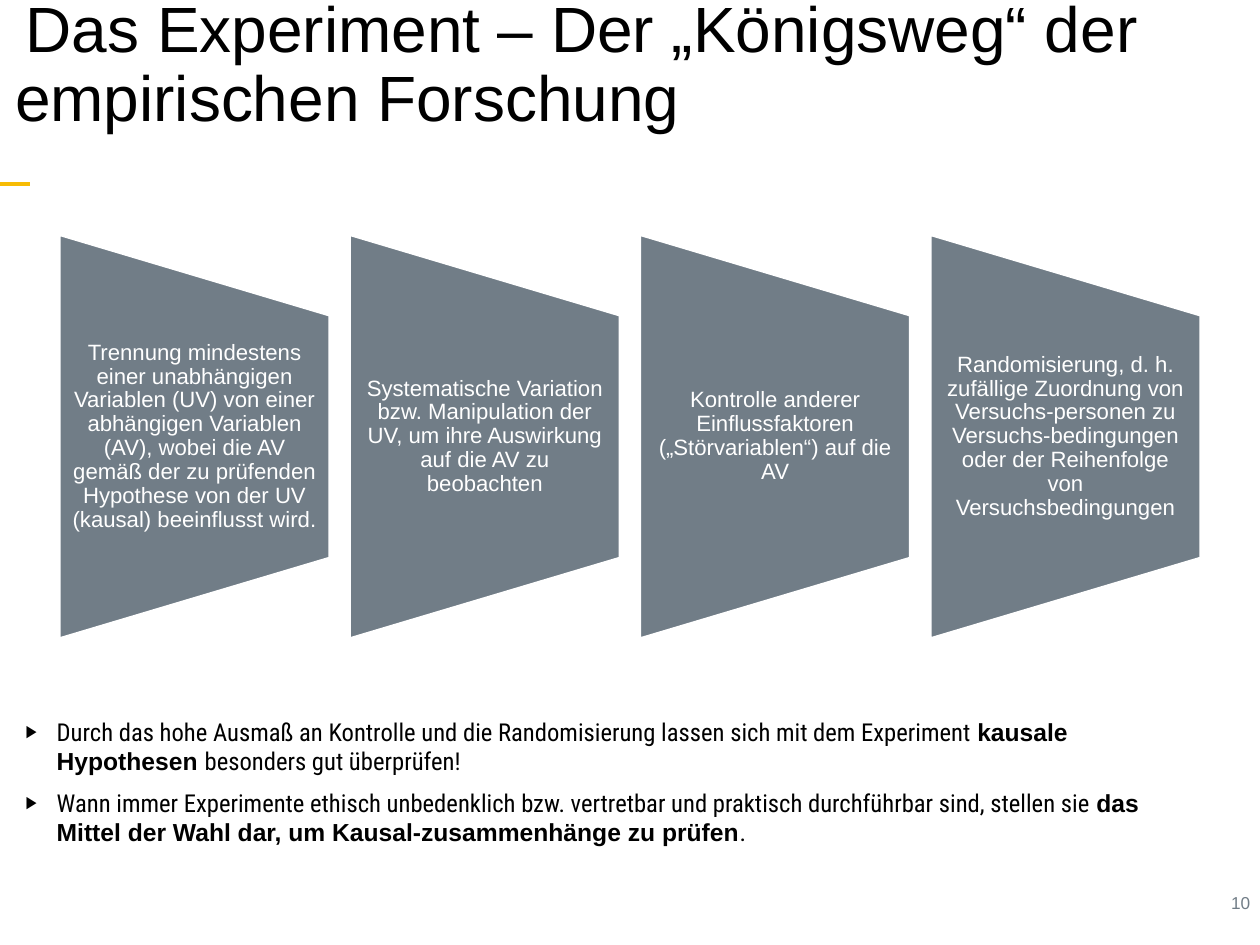
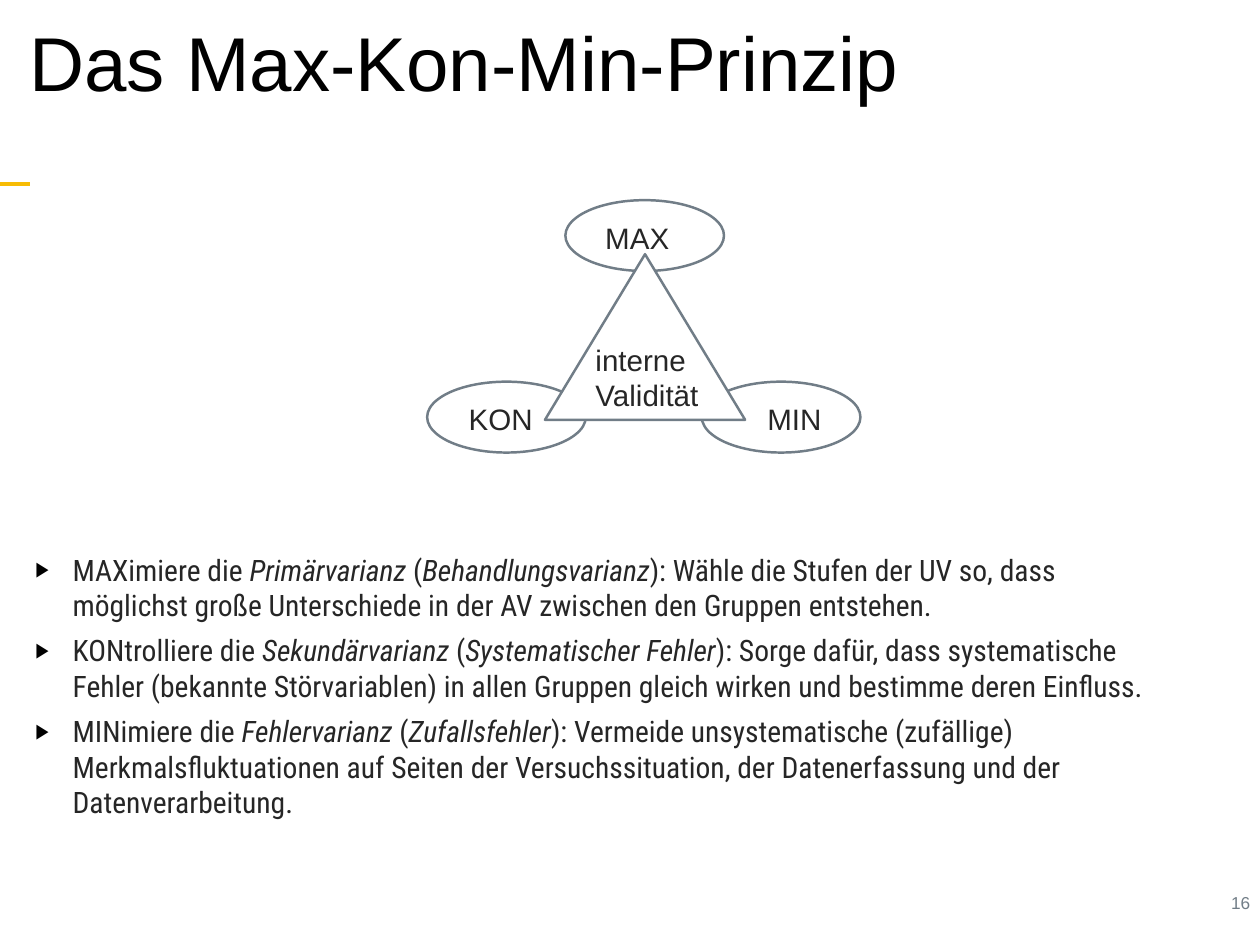
"""Build two slides on experiments and the Max-Kon-Min principle."""
from dataclasses import dataclass

from lxml import etree
from pptx import Presentation
from pptx.dml.color import RGBColor
from pptx.enum.shapes import MSO_CONNECTOR, MSO_SHAPE
from pptx.enum.text import MSO_ANCHOR, PP_ALIGN
from pptx.oxml.ns import qn
from pptx.util import Inches, Pt

LINE = MSO_CONNECTOR.STRAIGHT
OVAL, PEAK = MSO_SHAPE.OVAL, MSO_SHAPE.ISOSCELES_TRIANGLE
TOP, MID = MSO_ANCHOR.TOP, MSO_ANCHOR.MIDDLE
LEFT, CENTER, RIGHT = PP_ALIGN.LEFT, PP_ALIGN.CENTER, PP_ALIGN.RIGHT


@dataclass(frozen=True)
class Theme:
    sans: str = "Arial"
    slim: str = "Roboto Condensed"
    black: RGBColor = RGBColor.from_string("000000")
    ink: RGBColor = RGBColor.from_string("262626")
    slate: RGBColor = RGBColor.from_string("717D87")
    gold: RGBColor = RGBColor.from_string("F7BC05")
    white: RGBColor = RGBColor.from_string("FFFFFF")
    small: int = 14
    card: int = 18
    label: int = 24


theme = Theme()
deck = Presentation()
deck.slide_width, deck.slide_height = Inches(14.22), Inches(10.67)
COL, ROW = deck.slide_width / 100, deck.slide_height / 100


def frame(page, spot, pad=0.07, anchor=TOP):
    """Add a text box at a spot in columns and rows."""
    left, top, wide, high = spot
    box = page.shapes.add_textbox(
        int(left * COL), int(top * ROW), int(wide * COL), int(high * ROW))
    text = box.text_frame
    text.word_wrap, text.vertical_anchor = True, anchor
    text.margin_left = text.margin_right = Inches(pad)
    text.margin_top = text.margin_bottom = Inches(pad)
    return text


def style(par, size, color, align=LEFT, face=theme.sans):
    """Set the font and alignment of a paragraph."""
    par.alignment = align
    par.font.name, par.font.size = face, Pt(size)
    par.font.color.rgb = color


heads = [
    ("Das Experiment – Der „Königsweg“ der empirischen Forschung", 52, 0.12, "10"),
    ("Das Max-Kon-Min-Prinzip", 62, 0.14, "16"),
]
pages = []
for title, size, inset, number in heads:
    page = deck.slides.add_slide(deck.slide_layouts[6])
    pages.append(page)
    rule = page.shapes.add_connector(
        LINE, 0, int(19.5 * ROW), int(2.4 * COL), int(19.5 * ROW))
    rule.line.color.rgb, rule.line.width = theme.gold, Pt(3)
    etree.SubElement(rule._element.spPr, qn("a:effectLst"))

    par = frame(page, (83.05, 93.72, 16.67, 3.4)).paragraphs[0]
    par.text = number
    style(par, theme.small, theme.slate, RIGHT)

    par = frame(page, (0, -0.2, 100, 14.5), 0.05, MID).paragraphs[0]
    par.text, par.line_spacing = title, 0.9
    props = par._p.get_or_add_pPr()
    props.set("marL", str(Inches(inset)))
    props.set("indent", str(Inches(inset)))
    style(par, size, theme.black)

trial, model = pages

cards = [
    "Trennung mindestens einer unabhängigen Variablen (UV) von einer "
    "abhängigen Variablen (AV), wobei die AV gemäß der zu prüfenden "
    "Hypothese von der UV (kausal) beeinflusst wird.",
    "Systematische Variation bzw. Manipulation der UV, um ihre Auswirkung "
    "auf die AV zu beobachten",
    "Kontrolle anderer Einflussfaktoren („Störvariablen“) auf die AV",
    "Randomisierung, d. h. zufällige Zuordnung von Versuchs-personen zu "
    "Versuchs-bedingungen oder der Reihenfolge von Versuchsbedingungen",
]
high, low, slope = 24.84, 67.57, 8.53
for i, words in enumerate(cards):
    left = 4.71 + 23.04 * i
    right = left + 21.45
    pen = trial.shapes.build_freeform(int(left * COL), int(low * ROW))
    pen.add_line_segments([
        (int(x * COL), int(y * ROW)) for x, y in
        [(left, high), (right, high + slope), (right, low - slope)]])
    card = pen.convert_to_shape()
    card.shadow.inherit = False
    card.fill.solid()
    card.fill.fore_color.rgb = theme.slate
    card.line.color.rgb, card.line.width = theme.white, Pt(2)
    text = card.text_frame
    text.word_wrap, text.vertical_anchor = True, MID
    text.margin_left = text.margin_right = Inches(0.14)
    text.margin_top = text.margin_bottom = 0
    par = text.paragraphs[0]
    par.text, par.line_spacing = words, 0.9
    style(par, theme.card, theme.white, CENTER)

parts = [
    (OVAL, 44.87, 21.18, 12.59, 7.5),
    (OVAL, 55.7, 40.39, 12.59, 7.5),
    (OVAL, 33.9, 40.39, 12.59, 7.5),
    (PEAK, 43.25, 26.9, 15.89, 17.53),
]
for kind, left, top, wide, tall in parts:
    part = model.shapes.add_shape(
        kind, int(left * COL), int(top * ROW), int(wide * COL), int(tall * ROW))
    part.shadow.inherit = False
    part.fill.solid()
    part.fill.fore_color.rgb = theme.white
    part.line.color.rgb, part.line.width = theme.slate, Pt(2)

labels = [
    ("MAX", (47.54, 22.59, 7.03, 4.6)),
    ("KON", (36.71, 41.8, 7.03, 4.6)),
    ("MIN", (60.41, 41.8, 6.2, 4.6)),
    ("interne\nValidität", (46.77, 35.52, 10.62, 8.06)),
]
for words, spot in labels:
    par = frame(model, spot).paragraphs[0]
    par.text = words
    style(par, theme.label, theme.ink)

lists = [
    (trial, (0.56, 75.16, 95.43, 15.37), 20, theme.black, 0.49, 0.35, 10, True, [
        "Durch das hohe Ausmaß an Kontrolle und die Randomisierung lassen sich "
        "mit dem Experiment |kausale Hypothesen |besonders gut überprüfen!",
        "Wann immer Experimente ethisch unbedenklich bzw. vertretbar und "
        "praktisch durchführbar sind, stellen sie |das Mittel der Wahl dar, "
        "um Kausal-zusammenhänge zu prüfen|.",
    ]),
    (model, (2.32, 57.73, 90.58, 29.05), 24, theme.ink, 0.42, 0.42, 8, False, [
        "MAXimiere die |Primärvarianz| (|Behandlungsvarianz|): Wähle die Stufen "
        "der UV so, dass möglichst große Unterschiede in der AV zwischen den "
        "Gruppen entstehen.",
        "KONtrolliere die |Sekundärvarianz| (|Systematischer Fehler|): Sorge "
        "dafür, dass systematische Fehler (bekannte Störvariablen) in allen "
        "Gruppen gleich wirken und bestimme deren Einfluss.",
        "MINimiere die |Fehlervarianz| (|Zufallsfehler|): Vermeide "
        "unsystematische (zufällige) Merkmalsfluktuationen auf Seiten der "
        "Versuchssituation, der Datenerfassung und der Datenverarbeitung.",
    ]),
]
for page, spot, size, color, inset, hang, gap, strong, items in lists:
    text = frame(page, spot)
    for i, item in enumerate(items):
        par = text.add_paragraph() if i else text.paragraphs[0]
        props = par._p.get_or_add_pPr()
        props.set("marL", str(Inches(inset)))
        props.set("indent", str(-Inches(hang)))
        tint = etree.SubElement(props, qn("a:buClr"))
        etree.SubElement(tint, qn("a:srgbClr"), val=str(theme.black))
        etree.SubElement(props, qn("a:buSzPct"), val="70000")
        etree.SubElement(props, qn("a:buFont"), typeface=theme.sans)
        etree.SubElement(props, qn("a:buChar"), char="▶")
        if i:
            par.space_before = Pt(gap)
        style(par, size, color, face=theme.slim)
        for j, words in enumerate(item.split("|")):
            run = par.add_run()
            run.text = words
            if j % 2 and strong:
                run.font.name, run.font.bold = theme.sans, True
            elif j % 2:
                run.font.italic = True

deck.save("out.pptx")
